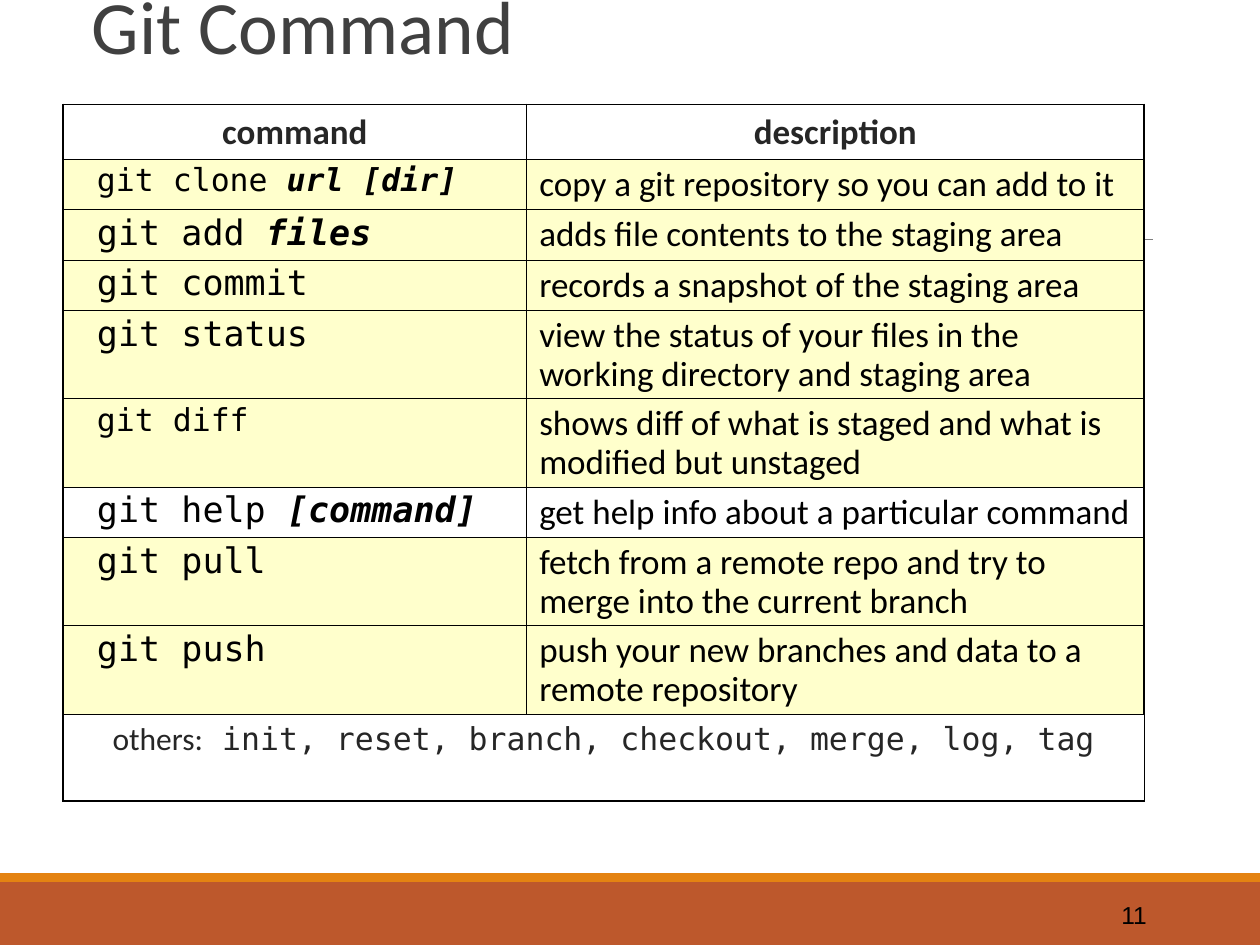
from dataclasses import dataclass

from lxml.etree import SubElement
from pptx import Presentation
from pptx.dml.color import RGBColor
from pptx.enum.shapes import MSO_CONNECTOR, MSO_SHAPE
from pptx.enum.text import MSO_ANCHOR, PP_ALIGN
from pptx.oxml.ns import qn
from pptx.util import Inches, Pt


@dataclass(frozen=True)
class Theme:
    rust: str = "BD582C"
    orange: str = "E48312"
    rule: str = "7F7F7F"
    title: str = "404040"
    dark: str = "262626"
    black: str = "000000"
    cream: str = "FFFFCC"
    sans: str = "Calibri"
    mono: str = "DejaVu Sans Mono"
    plain: str = "Arial"
    head: float = 43
    body: float = 20
    small: float = 18
    note: float = 14
    thick: float = 1.08
    thin: float = 0.45


def style(font, name, size, color, bold=False, italic=False):
    font.name, font.size = name, Pt(size)
    font.color.rgb = RGBColor.from_string(color)
    font.bold, font.italic = bold, italic


class Deck:
    def __init__(self, slide, theme):
        self.slide, self.theme = slide, theme

    def bar(self, top, height, color):
        bar = self.slide.shapes.add_shape(
            MSO_SHAPE.RECTANGLE, 0, Inches(top), Inches(10), Inches(height))
        bar.shadow.inherit = False
        bar.fill.solid()
        bar.fill.fore_color.rgb = RGBColor.from_string(color)
        bar.line.fill.background()

    def rule(self, left, right, top):
        line = self.slide.shapes.add_connector(
            MSO_CONNECTOR.STRAIGHT, Inches(left), Inches(top),
            Inches(right), Inches(top))
        line.line.color.rgb = RGBColor.from_string(self.theme.rule)
        line.line.width = Pt(0.5)
        SubElement(line._element.spPr, qn("a:effectLst"))

    def text(self, words, place, font, anchor, align=PP_ALIGN.LEFT,
             inset=0.1, space=1.0):
        frame = self.slide.shapes.add_textbox(*map(Inches, place)).text_frame
        frame.word_wrap = True
        frame.vertical_anchor = anchor
        frame.margin_left = Inches(inset)
        para = frame.paragraphs[0]
        para.text, para.alignment, para.line_spacing = words, align, space
        style(para.font, *font)

    def table(self, left, top, cols, rows):
        grid = self.slide.shapes.add_table(
            len(rows), len(cols), Inches(left), Inches(top),
            Inches(sum(cols)), Inches(sum(rows))).table
        grid.first_row = grid.horz_banding = False
        for col, width in zip(grid.columns, cols):
            col.width = Inches(width)
        for row, height in zip(grid.rows, rows):
            row.height = Inches(height)
        return grid

    def edges(self, grid):
        """Draw thick lines round the table and thin ones inside it."""
        down, across = len(grid.rows) - 1, len(grid.columns) - 1
        for r in range(down + 1):
            for c in range(across + 1):
                props = grid.cell(r, c)._tc.get_or_add_tcPr()
                outer = {"L": c == 0, "R": c == across,
                         "T": r == 0, "B": r == down}
                for side, edge in outer.items():
                    width = self.theme.thick if edge else self.theme.thin
                    line = SubElement(props, qn(f"a:ln{side}"), w=str(Pt(width)))
                    fill = SubElement(line, qn("a:solidFill"))
                    SubElement(fill, qn("a:srgbClr"), val=self.theme.black)

    def cell(self, cell, runs, align=PP_ALIGN.LEFT, space=0.9,
             inset=0.1, fill=None):
        """Fill a cell; each run is its words and the values for style()."""
        if fill:
            cell.fill.solid()
            cell.fill.fore_color.rgb = RGBColor.from_string(fill)
        else:
            cell.fill.background()
        cell.margin_left = Inches(inset)
        para = cell.text_frame.paragraphs[0]
        para.alignment, para.line_spacing = align, space
        for words, *font in runs:
            run = para.add_run()
            run.text = words
            style(run.font if len(runs) > 1 else para.font, *font)


# command, argument, description, lines, small type, tinted
COMMANDS = [
    ("git clone ", "url [dir]", "copy a git repository so you can add to it",
     1, True, True),
    ("git add ", "files", "adds file contents to the staging area",
     1, False, True),
    ("git commit", "", "records a snapshot of the staging area",
     1, False, True),
    ("git status", "", "view the status of your files in the working "
     "directory and staging area", 2, False, True),
    ("git diff", "", "shows diff of what is staged and what is modified "
     "but unstaged", 2, True, True),
    ("git help ", "[command]", "get help info about a particular command",
     1, False, False),
    ("git pull", "", "fetch from a remote repo and try to merge into the "
     "current branch", 2, False, True),
    ("git push", "", "push your new branches and data to a remote repository",
     2, False, True),
]


def main():
    show = Presentation()
    show.slide_width, show.slide_height = Inches(10), Inches(7.5)
    look = Theme()
    deck = Deck(show.slides.add_slide(show.slide_layouts[6]), look)

    deck.bar(7, 0.5, look.rust)
    deck.bar(6.93, 0.07, look.orange)
    deck.rule(0.98, 9.15, 1.9)
    deck.text("Git Command", (0.5, 0.03, 5.82, 0.57),
              (look.sans, look.head, look.title), MSO_ANCHOR.BOTTOM,
              inset=0.23, space=0.85)
    deck.text("11", (8.12, 7.06, 1.08, 0.4),
              (look.plain, look.note, look.black), MSO_ANCHOR.MIDDLE,
              PP_ALIGN.RIGHT)

    rows = [0.43, *(0.4 if item[3] == 1 else 0.7 for item in COMMANDS), 0.69]
    grid = deck.table(0.5, 0.83, [3.68, 4.9], rows)
    last = len(rows) - 1
    grid.cell(last, 0).merge(grid.cell(last, 1))
    deck.edges(grid)

    for col, label in enumerate(("command", "description")):
        deck.cell(grid.cell(0, col),
                  [(label, look.sans, look.body, look.dark, True)],
                  PP_ALIGN.CENTER, 1.0)
    for row, (code, arg, about, _, small, tint) in enumerate(COMMANDS, 1):
        fill = look.cream if tint else None
        mono = (look.mono, look.small if small else look.body, look.black)
        runs = [(code, *mono)]
        if arg:
            runs.append((arg, *mono, True, True))
        deck.cell(grid.cell(row, 0), runs, inset=0.27, fill=fill)
        deck.cell(grid.cell(row, 1),
                  [(about, look.sans, look.body, look.black)], fill=fill)
    deck.cell(grid.cell(last, 0), [
        ("others:", look.sans, look.small, look.dark),
        (" init, reset, branch, checkout, merge, log, tag",
         look.mono, look.small, look.dark),
    ], PP_ALIGN.CENTER, 1.0)

    show.save("out.pptx")


if __name__ == "__main__":
    main()
